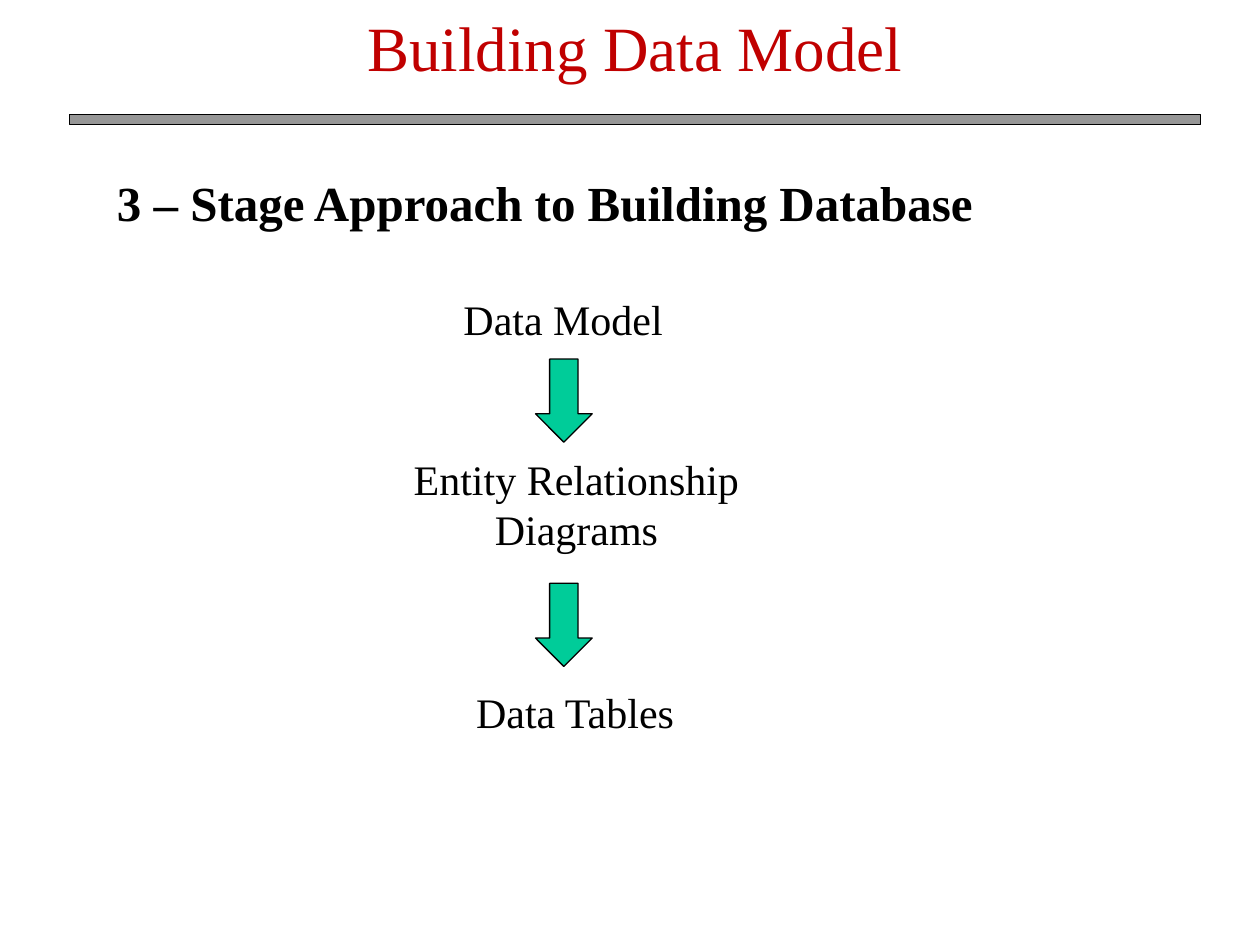
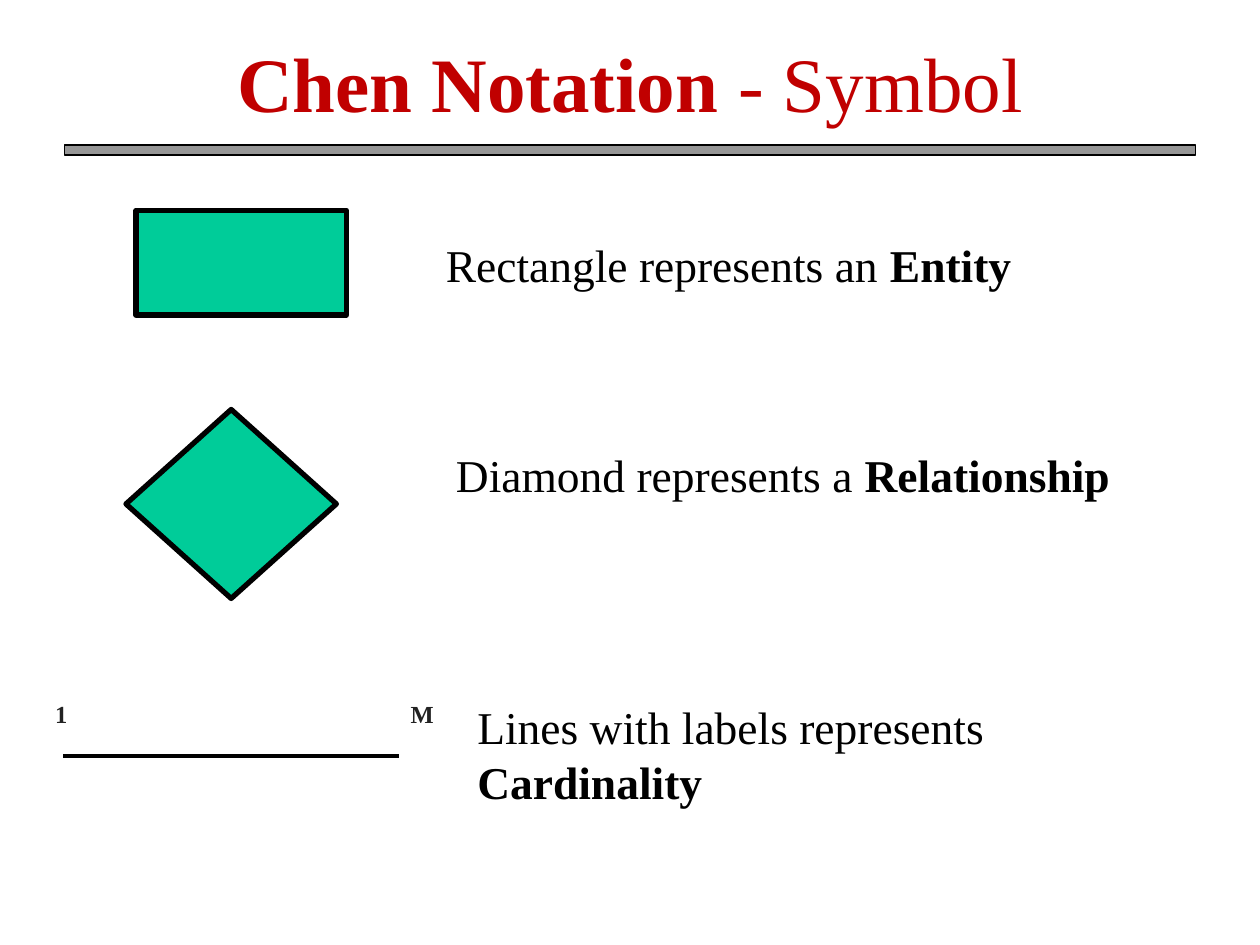
"""Build two slides on data models and Chen notation."""
import pptx
import pptx.dml.color
import pptx.enum.shapes
import pptx.enum.text
import pptx.oxml.ns
import pptx.util
from lxml import etree

WIDE, HIGH = pptx.util.Inches(10), pptx.util.Inches(7.5)
COLS, ROWS = 100, 75
FONT = "Times New Roman"
HUES = {"title": "C00000", "ink": "000000", "label": "222222",
        "bar": "969696", "mint": "00CC99"}
FORM = pptx.enum.shapes.MSO_SHAPE
ALIGN = pptx.enum.text.PP_ALIGN
ANCHOR = pptx.enum.text.MSO_ANCHOR
FIT = pptx.enum.text.MSO_AUTO_SIZE


def hue(name):
    """Return a colour of the palette."""
    return pptx.dml.color.RGBColor.from_string(HUES[name])


def grid(left, top, wide, high):
    """Turn columns and rows into lengths."""
    return (int(left * WIDE / COLS), int(top * HIGH / ROWS),
            int(wide * WIDE / COLS), int(high * HIGH / ROWS))


def style(thing, values):
    """Set each attribute of a thing from a dict."""
    for name, value in values.items():
        setattr(thing, name, value)


def text(slide, area, runs, size, color="ink", align=ALIGN.LEFT,
         anchor=ANCHOR.TOP, fit=FIT.SHAPE_TO_FIT_TEXT, wrap=True):
    """Add a text box made of (words, bold) runs."""
    frame = slide.shapes.add_textbox(*grid(*area)).text_frame
    style(frame, {"word_wrap": wrap, "auto_size": fit,
                  "vertical_anchor": anchor})
    para = frame.paragraphs[0]
    para.alignment = align
    for words, bold in runs:
        run = para.add_run()
        run.text = words
        style(run.font, {"name": FONT, "bold": bold,
                         "size": pptx.util.Pt(size)})
        run.font.color.rgb = hue(color)


def title(slide, area, runs, size):
    """Add the red centred title."""
    text(slide, area, runs, size, "title", ALIGN.CENTER, ANCHOR.MIDDLE,
         FIT.NONE)


def shape(slide, kind, area, fill, width):
    """Add a filled preset shape with a black outline."""
    item = slide.shapes.add_shape(kind, *grid(*area))
    item.shadow.inherit = False
    item.fill.solid()
    item.fill.fore_color.rgb = hue(fill)
    item.line.color.rgb = hue("ink")
    item.line.width = pptx.util.Pt(width)


def bar(slide, left, top):
    """Add the grey bar under a title."""
    shape(slide, FORM.RECTANGLE, (left, top, 89.8, 0.8), "bar", 0.75)


def line(slide, left, top, wide, width):
    """Add a level black line."""
    x, y, span, _ = grid(left, top, wide, 0)
    kind = pptx.enum.shapes.MSO_CONNECTOR.STRAIGHT
    item = slide.shapes.add_connector(kind, x, y, x + span, y)
    item.line.color.rgb = hue("ink")
    item.line.width = pptx.util.Pt(width)
    props = item._element.spPr
    etree.SubElement(props, pptx.oxml.ns.qn("a:effectLst"))


def stages(slide):
    """Draw the three stages of building a database."""
    title(slide, (17.7, 1.3, 65.4, 4.7), [("Building Data Model", False)], 36)
    bar(slide, 5.5, 9.1)
    text(slide, (8.3, 13.2, 81.9, 10.4),
         [("3 – Stage Approach to Building Database", True)], 28)
    for words, area, align in (
            ("Data Model", (35.8, 22.8, 22, 5), ALIGN.LEFT),
            ("Entity Relationship Diagrams", (29.2, 35.5, 33.1, 9),
             ALIGN.CENTER),
            ("Data Tables", (36.8, 54, 17.8, 9), ALIGN.LEFT)):
        text(slide, area, [(words, False)], 24, align=align)
    for top in (28.5, 46.3):
        shape(slide, FORM.DOWN_ARROW, (42.5, top, 4.5, 6.6), "mint", 0.75)


def symbols(slide):
    """Draw the symbols of Chen notation with their meanings."""
    title(slide, (7.5, 0.2, 85, 12.5),
          [("Chen Notation ", True), ("- Symbol", False)], 44)
    bar(slide, 5.1, 11.5)
    shape(slide, FORM.RECTANGLE, (10.8, 16.7, 16.7, 8.3), "mint", 3)
    shape(slide, FORM.DIAMOND, (10, 32.5, 16.7, 15), "mint", 3)
    line(slide, 5, 60, 26.7, 2.25)
    for mark, left, wide in (("1", 3.4, 3), ("M", 31.6, 3.8)):
        text(slide, (left, 55, wide, 3.4), [(mark, True)], 14, "label",
             wrap=False)
    for words, term, left, top, wide in (
            ("Rectangle represents an ", "Entity", 34.4, 18.3, 46.9),
            ("Diamond represents a ", "Relationship", 35.2, 35, 53.9),
            ("Lines with labels represents ", "Cardinality", 36.9, 55, 61)):
        text(slide, (left, top, wide, 5.4), [(words, False), (term, True)],
             26, wrap=False)


def main():
    """Build and save the deck."""
    deck = pptx.Presentation()
    style(deck, {"slide_width": WIDE, "slide_height": HIGH})
    for draw in (stages, symbols):
        draw(deck.slides.add_slide(deck.slide_layouts[6]))
    deck.save("out.pptx")


if __name__ == "__main__":
    main()
